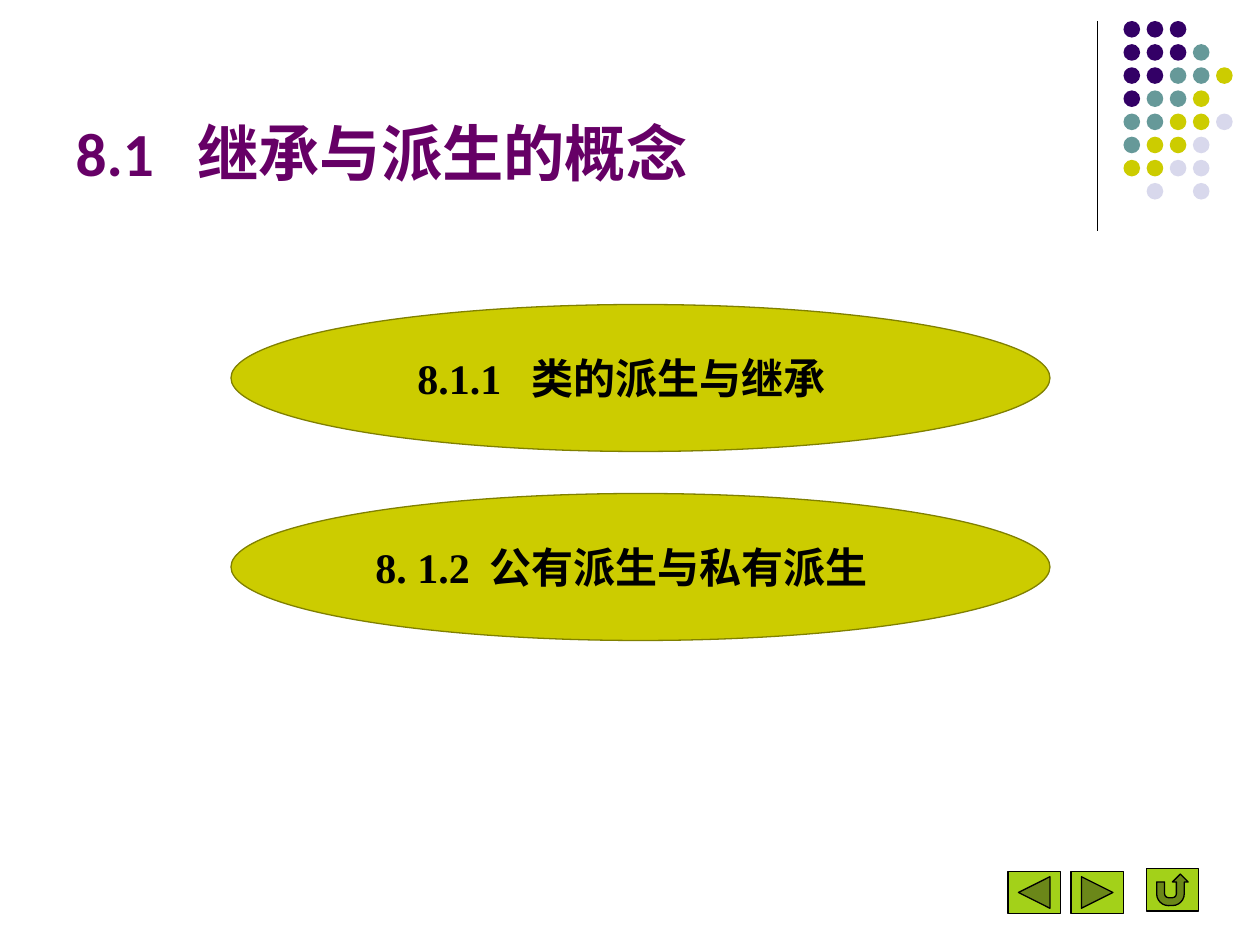
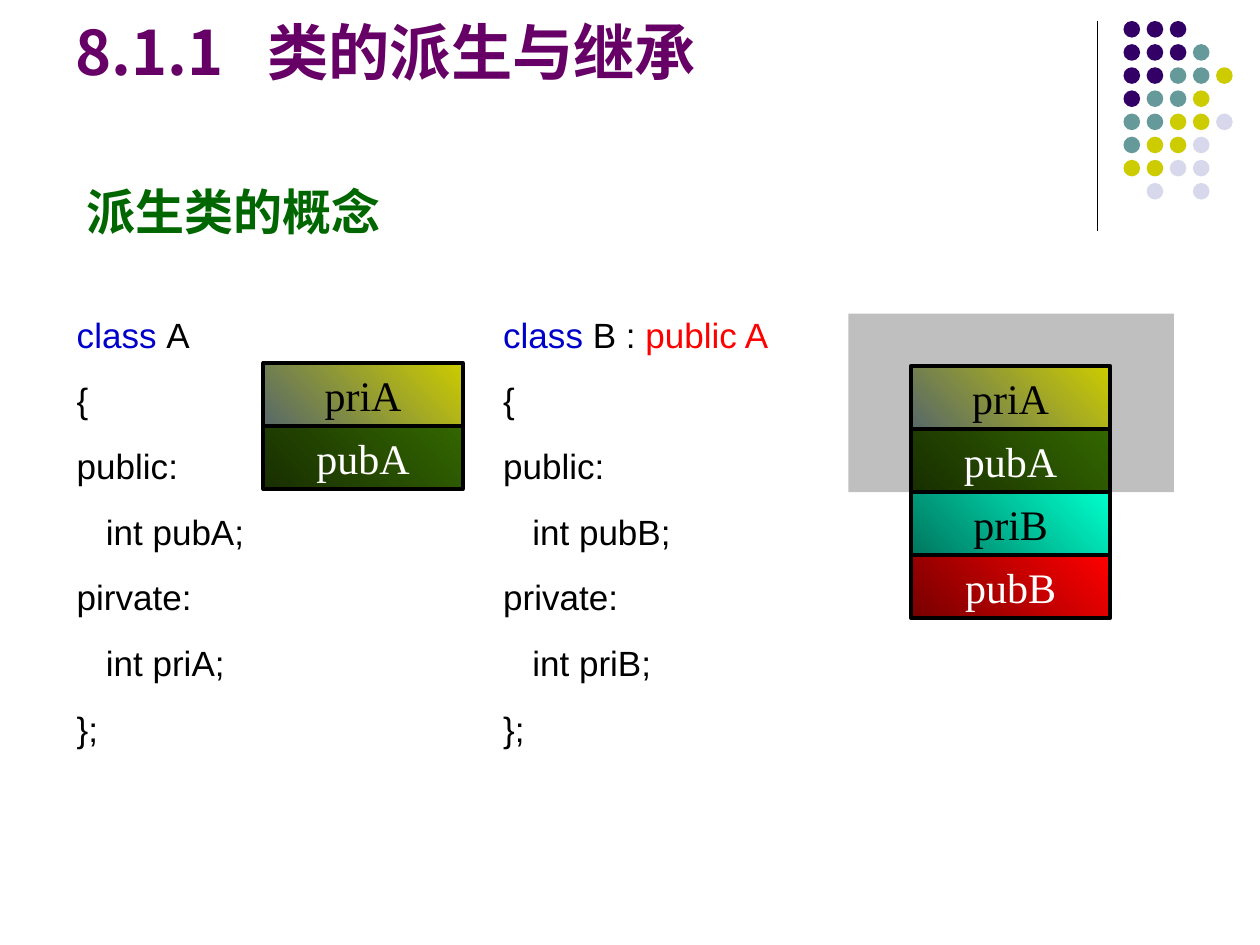
from lxml.etree import SubElement
from pptx import Presentation
from pptx.dml.color import RGBColor
from pptx.enum.shapes import MSO_CONNECTOR, MSO_SHAPE as Preset
from pptx.enum.text import MSO_ANCHOR as Anchor, PP_ALIGN as Align
from pptx.oxml.ns import qn
from pptx.util import Pt

COLORS = {
    "black": "000000", "white": "FFFFFF", "title": "660066",
    "purple": "330066", "teal": "669999", "olive": "CCCC00", "lavender": "D8D8EC",
    "ellipse line": "808000", "button": "99CC00", "subtitle": "006600",
    "keyword": "0000CC", "base": "FF0000", "inherited": "808080",
}
DOT_COLORS = {"P": "purple", "T": "teal", "O": "olive", "L": "lavender"}
DOT_ROWS = ["PPP", "PPPT", "PPTTO", "PTTO", "TTOOL", "TOOL", "OOLL", ".L.L"]
# Each member: gradient start, gradient end, text colour
MEMBERS = {
    "priA": ("576869", "CCCC00", "black"),
    "pubA": ("182F00", "336600", "white"),
    "priB": ("00765E", "00FFCC", "black"),
    "pubB": ("760000", "FF0000", "white"),
}
CJK_FONT = "Noto Sans CJK SC"


def rgb(name):
    return RGBColor.from_string(COLORS[name])


def set_font(font, name, size, color, bold=False):
    font.name, font.size, font.bold = name, Pt(size), bold
    font.color.rgb = rgb(color)
    SubElement(font._element, qn("a:ea"), typeface=CJK_FONT)


def add_tab_stop(paragraph, position):
    tabs = SubElement(paragraph._p.get_or_add_pPr(), qn("a:tabLst"))
    SubElement(tabs, qn("a:tab"), pos=str(Pt(position)), algn="l")


def set_opacity(shape, percent):
    color = shape.fill._xPr.find(qn("a:solidFill"))[0]
    SubElement(color, qn("a:alpha"), val=str(percent * 1000))


def add_shape(slide, preset, box, fill=None, line=None, line_width=0.75):
    shape = slide.shapes.add_shape(preset, *map(Pt, box))
    shape.shadow.inherit = False
    if fill:
        shape.fill.solid()
        shape.fill.fore_color.rgb = rgb(fill)
    if line:
        shape.line.color.rgb = rgb(line)
        shape.line.width = Pt(line_width)
    else:
        shape.line.fill.background()
    return shape


def add_text_box(slide, box):
    frame = slide.shapes.add_textbox(*map(Pt, box)).text_frame
    frame.word_wrap = True
    return frame


def add_corner_dots(slide, left, top):
    """Draw the vertical rule and the dot pattern to its right."""
    rule = slide.shapes.add_connector(
        MSO_CONNECTOR.STRAIGHT, *map(Pt, (left, top, left, top + 120)))
    rule.line.color.rgb = rgb("black")
    rule.line.width = Pt(0.75)
    SubElement(rule._element.spPr, qn("a:effectLst"))
    pitch, size = 13.22, 9.5
    for row, codes in enumerate(DOT_ROWS):
        for column, code in enumerate(codes):
            if code in DOT_COLORS:
                box = (left + 15 + column * pitch, top + row * pitch, size, size)
                add_shape(slide, Preset.OVAL, box, DOT_COLORS[code])


def add_slide(presentation, box, number, heading, tab, number_font, heading_font):
    """Add a slide with the corner dots and a title aligned on a tab stop."""
    slide = presentation.slides.add_slide(presentation.slide_layouts[5])
    add_corner_dots(slide, 627, 12)
    title = slide.shapes.title
    title.left, title.top, title.width, title.height = map(Pt, box)
    frame = title.text_frame
    frame.vertical_anchor = Anchor.BOTTOM
    paragraph = frame.paragraphs[0]
    paragraph.alignment = Align.LEFT
    add_tab_stop(paragraph, tab)
    for text, font in ((number + "\t", number_font), (heading, heading_font)):
        run = paragraph.add_run()
        run.text = text
        set_font(run.font, font, 35, "title", bold=True)
    return slide


def add_topic(slide, box, text, inset):
    ellipse = add_shape(slide, Preset.OVAL, box, "olive", "ellipse line")
    frame = ellipse.text_frame
    frame.word_wrap = True
    frame.vertical_anchor = Anchor.MIDDLE
    frame.margin_left, frame.margin_right = Pt(inset), 0
    paragraph = frame.paragraphs[0]
    paragraph.alignment = Align.LEFT
    add_tab_stop(paragraph, 65)
    paragraph.add_run().text = text
    set_font(paragraph.font, "Times New Roman", 24, "black", bold=True)


def add_navigation(slide, left, top):
    buttons = (
        (Preset.ACTION_BUTTON_BACK_OR_PREVIOUS, 0, 1.5),
        (Preset.ACTION_BUTTON_FORWARD_OR_NEXT, 36, 1.5),
        (Preset.ACTION_BUTTON_RETURN, 79, 0),
    )
    for preset, x, y in buttons:
        button = add_shape(slide, preset, (left + x, top + y, 30, 24), "button", "black")
        set_opacity(button, 90)


def add_code(slide, box, lines):
    """Write code lines, each a list of (text, colour) pairs."""
    frame = add_text_box(slide, box)
    for index, pieces in enumerate(lines):
        paragraph = frame.paragraphs[0] if index == 0 else frame.add_paragraph()
        if index:
            paragraph.space_before = Pt(13.5)
        for text, color in pieces:
            run = paragraph.add_run()
            run.text = text
            run.font.color.rgb = rgb(color)
        paragraph.font.name, paragraph.font.size = "Arial", Pt(20)


def class_lines(declaration, *body):
    return [[("class ", "keyword"), *declaration]] + [[(line, "black")] for line in body]


def add_members(slide, left, top, names):
    """Stack one gradient cell per class member."""
    for index, name in enumerate(names):
        start, end, text_color = MEMBERS[name]
        cell = add_shape(slide, Preset.RECTANGLE, (left, top + index * 36, 114, 36),
                         line="black", line_width=2.25)
        cell.fill.gradient()
        cell.fill.gradient_angle = 45
        for stop, color, position in zip(cell.fill.gradient_stops, (start, end), (0, 1)):
            stop.color.rgb = RGBColor.from_string(color)
            stop.position = position
        frame = cell.text_frame
        frame.vertical_anchor = Anchor.MIDDLE
        paragraph = frame.paragraphs[0]
        paragraph.alignment = Align.CENTER
        paragraph.add_run().text = name
        set_font(paragraph.font, "Times New Roman", 24, text_color)


def add_subtitle(slide, box, text):
    paragraph = add_text_box(slide, box).paragraphs[0]
    paragraph.add_run().text = text
    set_font(paragraph.font, "Arial", 28, "subtitle", bold=True)


def build_overview(presentation):
    slide = add_slide(presentation, (36, 9.5, 594, 102), "8.1", "继承与派生的概念",
                      69.5, "Calibri", "Times New Roman")
    topics = (("8.1.1\t类的派生与继承", 38), ("8. 1.2\t公有派生与私有派生", 14))
    for index, (text, inset) in enumerate(topics):
        add_topic(slide, (132, 174 + index * 108, 468, 84), text, inset)
    add_navigation(slide, 576, 496.5)


def build_derivation(presentation):
    slide = add_slide(presentation, (36, 9.5, 594, 44.5), "8.1.1", "类的派生与继承",
                      109.5, CJK_FONT, CJK_FONT)
    add_code(slide, (36.8, 175.5, 130, 250), class_lines(
        [("A", "black")],
        "{", "public:", "   int pubA;", "pirvate:", "   int priA;", "};"))
    add_code(slide, (280.5, 175.5, 232, 250), class_lines(
        [("B : ", "black"), ("public A", "base")],
        "{", "public:", "   int pubB;", "private:", "   int priB;", "};"))
    add_members(slide, 150.5, 207.5, ["priA", "pubA"])
    inherited = add_shape(slide, Preset.RECTANGLE, (484.8, 179.3, 186, 102), "inherited")
    set_opacity(inherited, 50)
    add_members(slide, 520.5, 209.2, MEMBERS)
    add_subtitle(slide, (42.5, 100, 182, 41), "派生类的概念")


def main():
    presentation = Presentation()
    presentation.slide_width, presentation.slide_height = Pt(720), Pt(540)
    build_overview(presentation)
    build_derivation(presentation)
    presentation.save("out.pptx")


if __name__ == "__main__":
    main()
